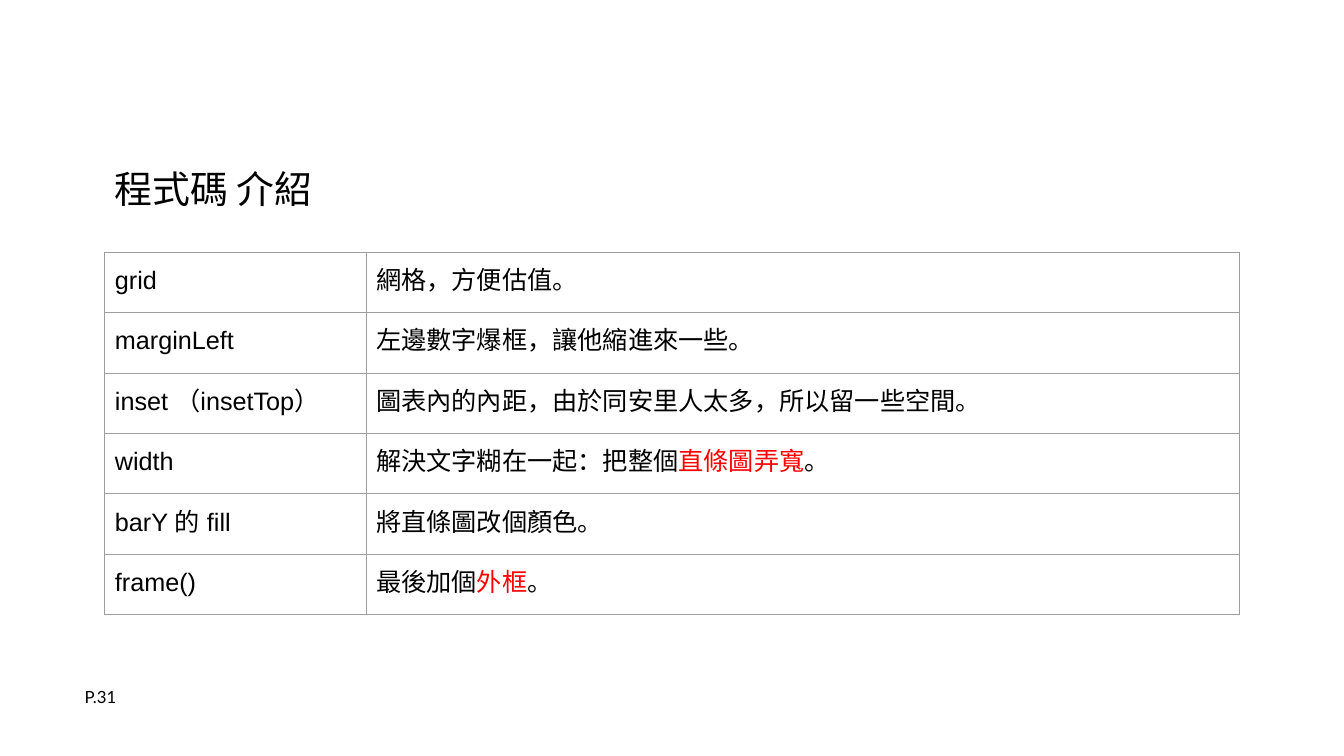
from pptx import Presentation
from pptx.dml.color import RGBColor
from pptx.enum.text import MSO_ANCHOR as Anchor
from pptx.oxml import parse_xml
from pptx.oxml.ns import nsdecls
from pptx.util import Inches, Pt

BLACK, RED, GREY = "000000", "FF0000", "9E9E9E"
LEFT = 1.04
COLUMNS = [2.59, 8.66]
ROW_HEIGHT = 0.6
ROWS = [
    ("grid", "網格，方便估值。"),
    ("marginLeft", "左邊數字爆框，讓他縮進來一些。"),
    ("inset （insetTop）", "圖表內的內距，由於同安里人太多，所以留一些空間。"),
    ("width", "解決文字糊在一起：把整個|直條圖弄寬|。"),
    ("barY 的 fill", "將直條圖改個顏色。"),
    ("frame()", "最後加個|外框|。"),
]


def color(value):
    return RGBColor.from_string(value)


def write(frame, text, font, size, line_spacing=None):
    """Fill a text frame; every second part between bars is red."""
    para = frame.paragraphs[0]
    para.line_spacing = line_spacing
    for index, part in enumerate(text.split("|")):
        span = para.add_run()
        span.text = part
        for name, value in {"name": font, "size": Pt(size)}.items():
            setattr(span.font, name, value)
        span.font.color.rgb = color(RED if index % 2 else BLACK)
        span.font._element.append(
            parse_xml(f'<a:ea {nsdecls("a")} typeface="{font}"/>'))


deck = Presentation()
deck.slide_width, deck.slide_height = Inches(13.33), Inches(7.5)
page = deck.slides.add_slide(deck.slide_layouts[6])

# Title and page number
for text, area, font, size, spacing, anchor in [
    ("程式碼 介紹", (LEFT, 1.46, COLUMNS[0], 0.65), "Noto Sans CJK TC", 27, 1.3, Anchor.TOP),
    ("P.31", (0.74, 6.78, 0.62, 0.26), "Lato", 12, None, Anchor.MIDDLE),
]:
    box = page.shapes.add_textbox(*map(Inches, area))
    box.text_frame.word_wrap = True
    box.text_frame.vertical_anchor = anchor
    write(box.text_frame, text, font, size, spacing)

# Table of options
table = page.shapes.add_table(
    len(ROWS), len(COLUMNS), Inches(LEFT), Inches(2.5),
    Inches(sum(COLUMNS)), Inches(ROW_HEIGHT * len(ROWS))).table
table.first_row = table.horz_banding = False
for column, width in zip(table.columns, COLUMNS):
    column.width = Inches(width)

cell_format = {f"margin_{side}": Inches(0.1) for side in ("left", "right", "top", "bottom")}
cell_format["vertical_anchor"] = Anchor.TOP
for row, texts in enumerate(ROWS):
    table.rows[row].height = Inches(ROW_HEIGHT)
    for column, text in enumerate(texts):
        cell = table.cell(row, column)
        for name, value in cell_format.items():
            setattr(cell, name, value)
        write(cell.text_frame, text, "Arial", 18, 1.15)

        # Borders come before the fill in the cell properties
        properties = cell._tc.get_or_add_tcPr()
        for side in ("lnL", "lnR", "lnT", "lnB"):
            properties.append(parse_xml(
                f'<a:{side} {nsdecls("a")} w="{Pt(0.75)}"><a:solidFill>'
                f'<a:srgbClr val="{GREY}"/></a:solidFill></a:{side}>'))
        cell.fill.background()

deck.save("out.pptx")
